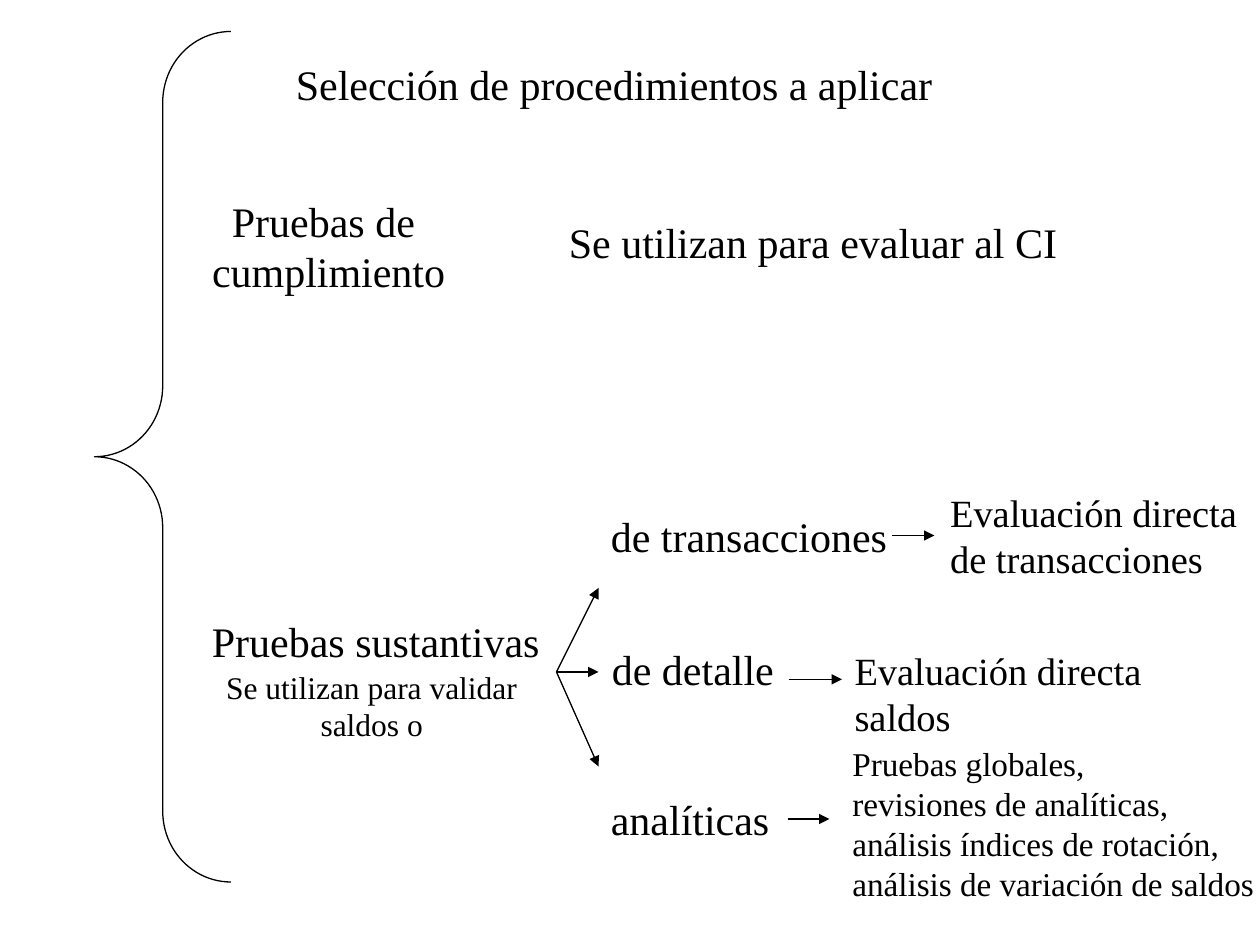
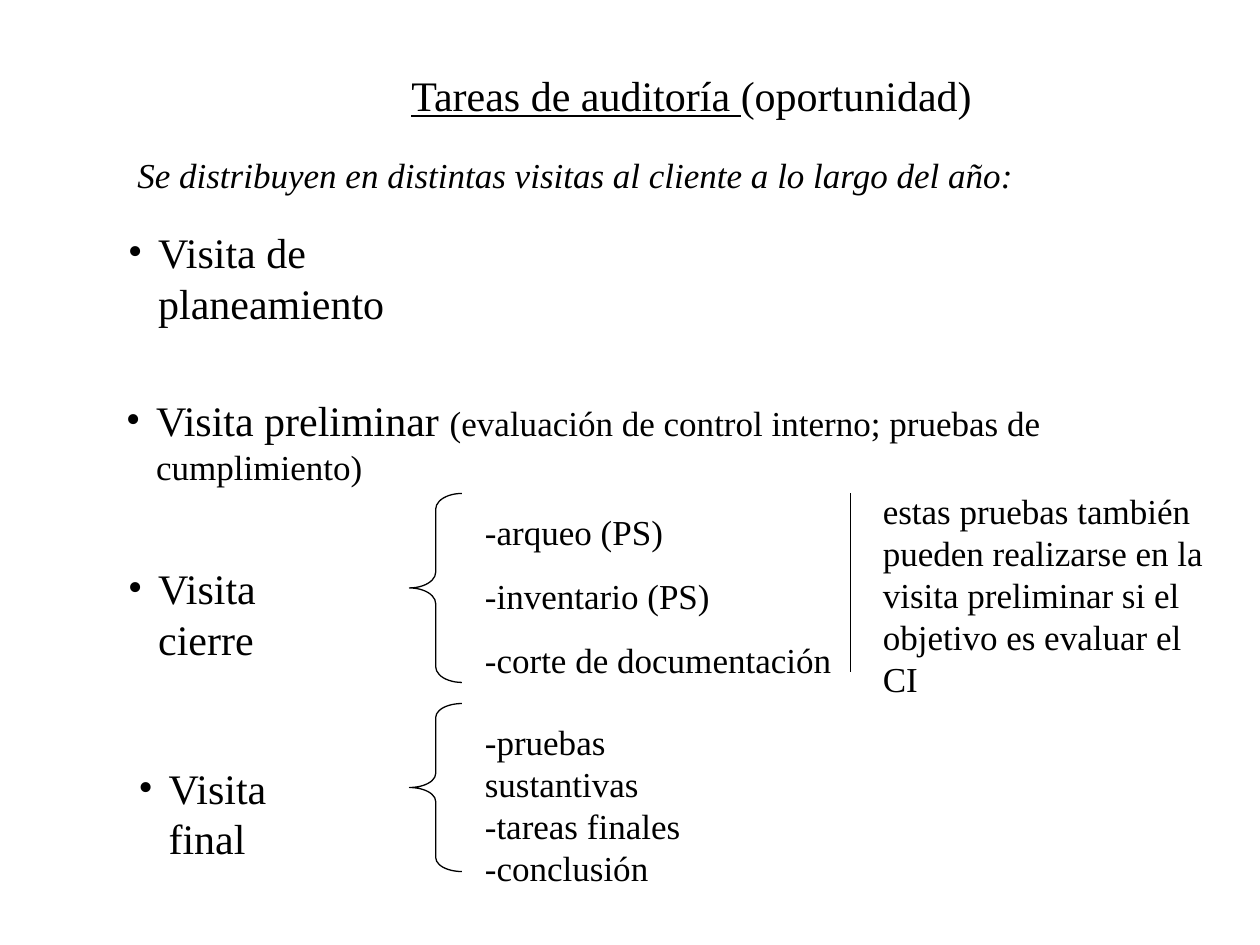
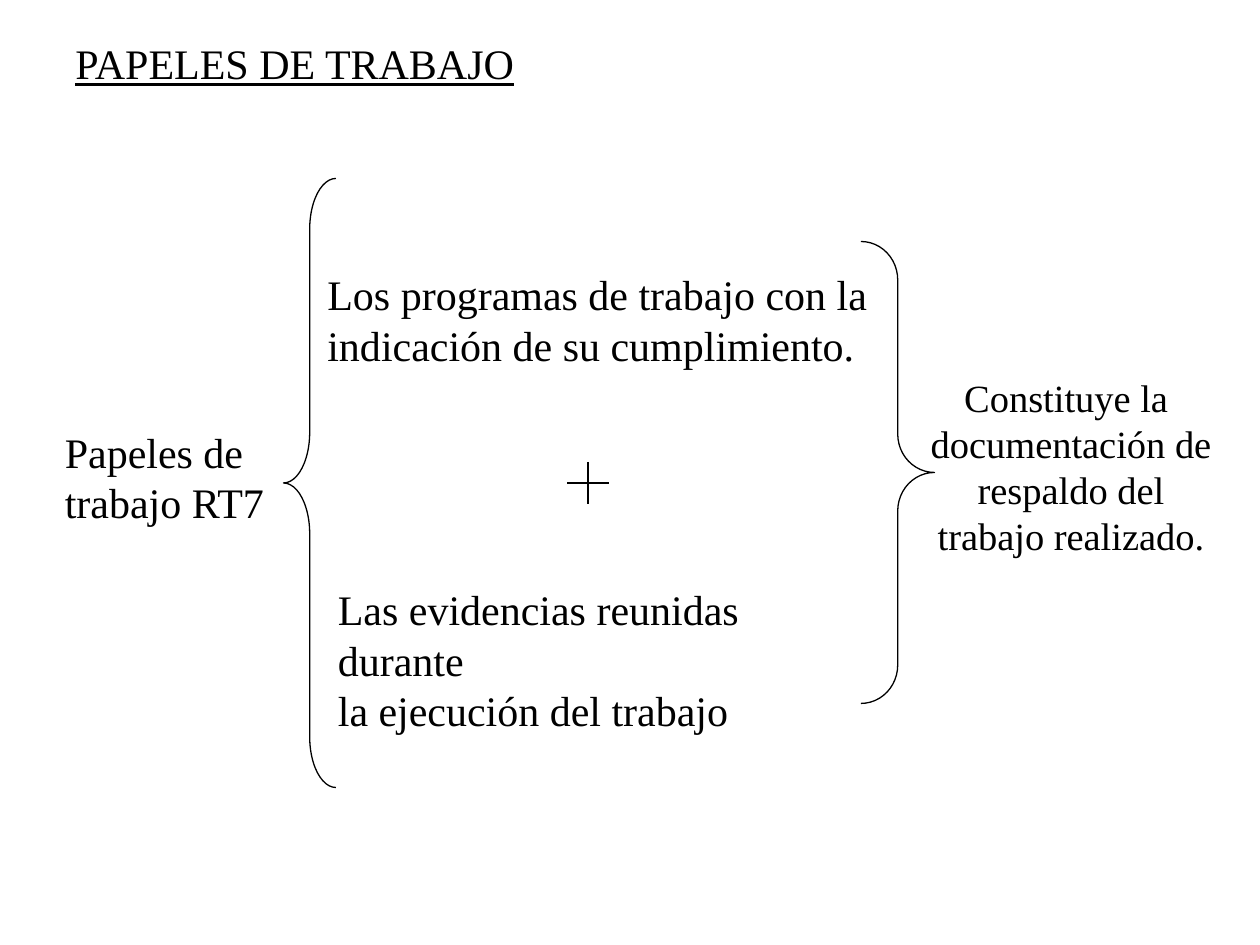
"""Builds three slides on audit tests, audit visits and working papers."""
from dataclasses import dataclass, field

from lxml.etree import SubElement
from pptx import Presentation
from pptx.dml.color import RGBColor
from pptx.enum.shapes import MSO_CONNECTOR, MSO_SHAPE
from pptx.enum.text import MSO_AUTO_SIZE, PP_ALIGN
from pptx.oxml.ns import qn
from pptx.slide import Slide
from pptx.util import Inches, Pt

COLORS = {"ink": "000000", "paper": "FFFFFF"}
FONT = "Times New Roman"
COLUMNS, ROWS = 120, 90
SLIDE_WIDTH, SLIDE_HEIGHT = Inches(10), Inches(7.5)
LINE_WIDTH = Pt(0.75)
BULLET_INDENT = Inches(0.24)
MARGINS = {
    "margin_left": Inches(0.1),
    "margin_right": Inches(0.1),
    "margin_top": Inches(0.05),
    "margin_bottom": Inches(0.05),
}


@dataclass(frozen=True)
class Run:
    text: str
    size: int = 24
    style: dict = field(default_factory=dict)


Paragraphs = tuple[tuple[Run, ...], ...]


@dataclass(frozen=True)
class Passage:
    col: float
    row: float
    cols: float
    rows: float
    paragraphs: Paragraphs
    wrap: bool = False
    align: PP_ALIGN = PP_ALIGN.LEFT
    gap: float = 0
    bullet: bool = False


@dataclass(frozen=True)
class Brace:
    col: float
    row: float
    cols: float
    rows: float
    kind: MSO_SHAPE = MSO_SHAPE.LEFT_BRACE


@dataclass(frozen=True)
class Stroke:
    start: tuple[float, float]
    end: tuple[float, float]
    arrow: bool = False


@dataclass(frozen=True)
class Page:
    passages: tuple[Passage, ...]
    braces: tuple[Brace, ...]
    strokes: tuple[Stroke, ...]


def across(columns: float) -> int:
    """Return the length of a number of grid columns."""
    return round(SLIDE_WIDTH * columns / COLUMNS)


def down(rows: float) -> int:
    """Return the length of a number of grid rows."""
    return round(SLIDE_HEIGHT * rows / ROWS)


def frame(item: Passage | Brace) -> tuple[int, int, int, int]:
    """Return the left, top, width and height of an item."""
    return across(item.col), down(item.row), across(item.cols), down(item.rows)


def lines(*texts: str, size: int = 24, **style: bool) -> Paragraphs:
    """Return one paragraph of a single run for each text."""
    return tuple((Run(text, size, style),) for text in texts)


def visit(col: float, row: float, cols: float, *runs: Run) -> Passage:
    """Return a bulleted audit visit."""
    return Passage(col, row, cols, 6, (runs,), wrap=True, bullet=True)


def apply(target: object, values: dict) -> None:
    """Set each named attribute of the target."""
    for name, value in values.items():
        setattr(target, name, value)


def add_bullet(paragraph: object) -> None:
    """Give a paragraph a hanging round bullet."""
    properties = paragraph._p.get_or_add_pPr()
    properties.set("marL", str(BULLET_INDENT))
    properties.set("indent", str(-BULLET_INDENT))
    color = SubElement(properties, qn("a:buClr"))
    SubElement(color, qn("a:srgbClr"), val=COLORS["ink"])
    SubElement(properties, qn("a:buFont"), typeface=FONT)
    SubElement(properties, qn("a:buChar"), char="•")


def draw_passage(slide: Slide, passage: Passage) -> None:
    """Draw a text box with its paragraphs."""
    text_frame = slide.shapes.add_textbox(*frame(passage)).text_frame
    apply(text_frame, MARGINS | {
        "word_wrap": passage.wrap,
        "auto_size": MSO_AUTO_SIZE.SHAPE_TO_FIT_TEXT,
    })
    for index, runs in enumerate(passage.paragraphs):
        paragraph = text_frame.add_paragraph() if index else text_frame.paragraphs[0]
        if passage.bullet:
            add_bullet(paragraph)
        paragraph.alignment = passage.align
        if index and passage.gap:
            paragraph.space_before = Pt(passage.gap)
        for run in runs:
            piece = paragraph.add_run()
            piece.text = run.text
            apply(piece.font, {"name": FONT, "size": Pt(run.size)} | run.style)
            piece.font.color.rgb = RGBColor.from_string(COLORS["ink"])


def draw_outline(line: object) -> None:
    """Apply the shared thin line."""
    line.color.rgb = RGBColor.from_string(COLORS["ink"])
    line.width = LINE_WIDTH


def draw_brace(slide: Slide, brace: Brace) -> None:
    """Draw a brace whose curls each take a twelfth of its height."""
    shape = slide.shapes.add_shape(brace.kind, *frame(brace))
    shape.adjustments[0] = brace.rows / 12 / brace.cols
    shape.shadow.inherit = False
    shape.fill.background()
    draw_outline(shape.line)


def draw_stroke(slide: Slide, stroke: Stroke) -> None:
    """Draw a straight line, with an arrowhead if asked."""
    (x1, y1), (x2, y2) = stroke.start, stroke.end
    connector = slide.shapes.add_connector(
        MSO_CONNECTOR.STRAIGHT, across(x1), down(y1), across(x2), down(y2))
    draw_outline(connector.line)
    if stroke.arrow:
        SubElement(connector.line._get_or_add_ln(), qn("a:tailEnd"), type="triangle")
    SubElement(connector._element.spPr, qn("a:effectLst"))


FAN = (53, 64)

PROCEDURES = Page(
    passages=(
        Passage(27, 5, 74, 6, lines("Selección de procedimientos a aplicar"), wrap=True),
        Passage(19, 18, 24.6, 10.8, lines("Pruebas de ", "cumplimiento"),
                align=PP_ALIGN.CENTER),
        Passage(53, 20, 49, 6, lines("Se utilizan para evaluar al CI")),
        Passage(19, 58, 33.6, 6, lines("Pruebas sustantivas")),
        Passage(20, 63, 30.8, 8.4,
                lines("Se utilizan para validar ", "saldos o", size=18),
                align=PP_ALIGN.CENTER),
        Passage(57, 48, 28.7, 6, lines("de transacciones")),
        Passage(57.1, 60.7, 17.8, 6, lines("de detalle")),
        Passage(57, 75, 17.5, 6, lines("analíticas")),
        Passage(89.3, 46, 30.6, 10,
                lines("Evaluación directa", "de transacciones", size=22)),
        Passage(80.2, 61, 39.7, 5.6, lines("Evaluación directa saldos", size=22)),
        Passage(80, 70.2, 40.7, 16.7,
                lines("Pruebas globales,", "revisiones de analíticas,",
                      "análisis índices de rotación,",
                      "análisis de variación de saldos", size=19)),
    ),
    braces=(Brace(9, 3, 13, 81),),
    strokes=(
        *(Stroke(FAN, (57, row), arrow=True) for row in (56, 64, 73)),
        Stroke((85, 51), (89, 51), arrow=True),
        Stroke((75.1, 64.7), (80.2, 64.7), arrow=True),
        Stroke((75, 78), (79, 78), arrow=True),
    ),
)

VISITS = Page(
    passages=(
        Passage(38, 6, 56, 6, ((Run("Tareas de auditoría ", style={"underline": True}),
                                Run("(oportunidad)")),)),
        Passage(11.9, 14, 85.9, 5.3,
                lines("Se distribuyen en distintas visitas al cliente a lo largo del año:",
                      size=20, italic=True)),
        visit(11, 21, 40.7, Run("Visita de planeamiento")),
        visit(10.8, 37, 108.7, Run("Visita preliminar "),
              Run("(evaluación de control interno; pruebas de cumplimiento)", 20)),
        visit(11, 53, 23.4, Run("Visita cierre")),
        visit(12, 72, 21.6, Run("Visita final")),
        Passage(45, 48, 52, 17.4,
                lines("-arqueo (PS)", "-inventario (PS)", "-corte de documentación", size=20),
                wrap=True, gap=12.5),
        Passage(45, 68, 29.3, 17.3,
                lines("-pruebas sustantivas", "-tareas finales", "-conclusión", size=20),
                wrap=True),
        Passage(82.9, 46, 35, 17.3,
                lines("estas pruebas también", "pueden realizarse en la",
                      "visita preliminar si el", "objetivo es evaluar el CI", size=20)),
    ),
    braces=(Brace(39, 47, 5, 18), Brace(39, 67, 5, 16)),
    strokes=(Stroke((81, 47), (81, 64)),),
)

WORKING_PAPERS = Page(
    passages=(
        Passage(6, 3, 47, 6, lines("PAPELES DE TRABAJO", underline=True), wrap=True),
        Passage(5, 40, 23, 10.8, lines("Papeles de trabajo RT7"), wrap=True),
        Passage(30, 25, 53.8, 10.8,
                lines("Los programas de trabajo con la", "indicación de su cumplimiento.")),
        Passage(31, 55, 53.5, 10.8,
                lines("Las evidencias reunidas durante", "la ejecución del trabajo")),
        Passage(87, 35, 30, 18.8,
                lines("Constituye la ", "documentación de respaldo del trabajo realizado.",
                      size=22),
                wrap=True, align=PP_ALIGN.CENTER),
    ),
    braces=(Brace(27, 17, 5, 58), Brace(82, 23, 7, 44, MSO_SHAPE.RIGHT_BRACE)),
    strokes=(Stroke((56, 44), (56, 48)), Stroke((54, 46), (58, 46))),
)


def draw_page(presentation: object, page: Page) -> None:
    """Add a blank slide and draw everything on the page."""
    slide = presentation.slides.add_slide(presentation.slide_layouts[6])
    background = slide.background.fill
    background.solid()
    background.fore_color.rgb = RGBColor.from_string(COLORS["paper"])
    for brace in page.braces:
        draw_brace(slide, brace)
    for passage in page.passages:
        draw_passage(slide, passage)
    for stroke in page.strokes:
        draw_stroke(slide, stroke)


def main() -> None:
    """Build and save the presentation."""
    presentation = Presentation()
    apply(presentation, {"slide_width": SLIDE_WIDTH, "slide_height": SLIDE_HEIGHT})
    for page in (PROCEDURES, VISITS, WORKING_PAPERS):
        draw_page(presentation, page)
    presentation.save("out.pptx")


if __name__ == "__main__":
    main()
